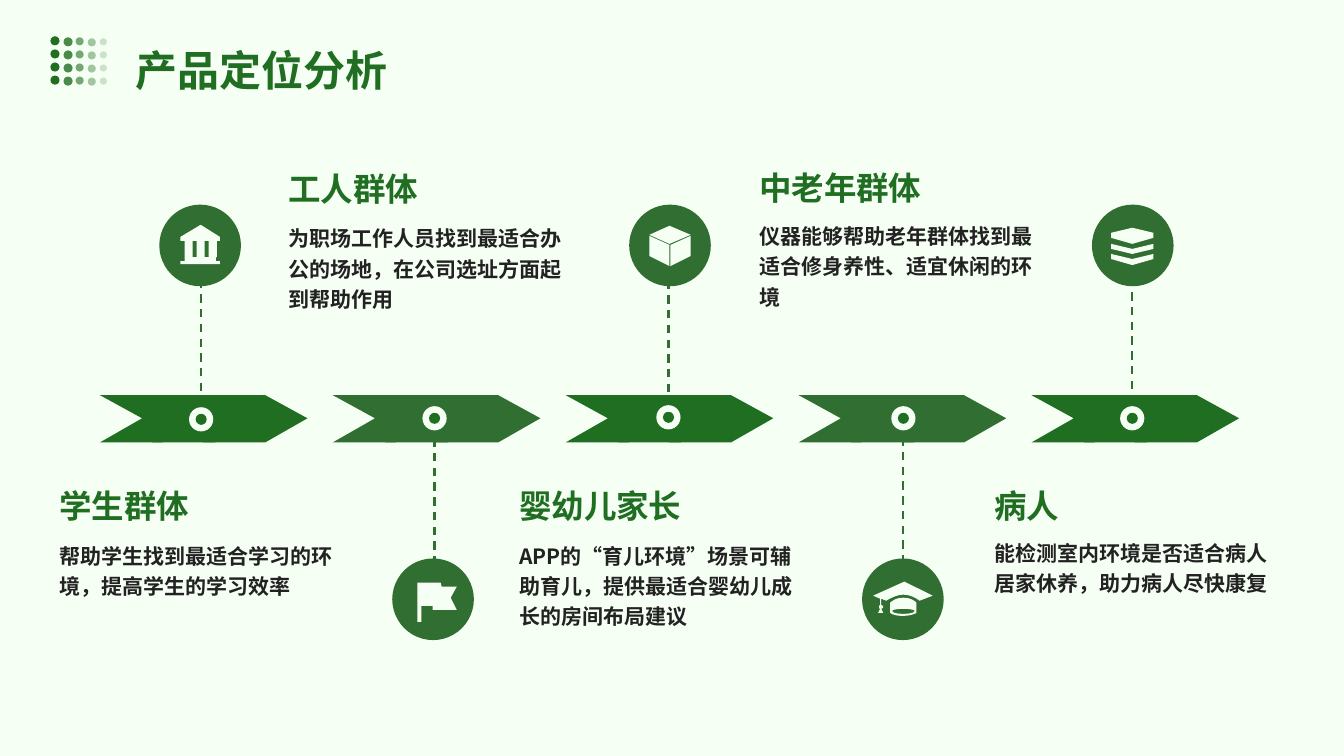
from lxml.etree import SubElement
from pptx import Presentation
from pptx.dml.color import RGBColor
from pptx.enum.dml import MSO_LINE
from pptx.enum.shapes import MSO_CONNECTOR as CONN, MSO_SHAPE as SHAPE
from pptx.enum.text import MSO_AUTO_SIZE as AUTO
from pptx.oxml.ns import qn
from pptx.util import Inches, Pt

PALE, DEEP, MID, INK = "F6FFF4", "1F6E21", "306F31", "222222"
HEAD_FONT, BODY_FONT = "Noto Sans CJK JP", "Noto Sans CJK SC"

TITLE = "产品定位分析"
GROUPS = [
    ("学生群体", "帮助学生找到最适合学习的环境，提高学生的学习效率", 0.45, 4.6, 5.2, 0.84),
    ("工人群体", "为职场工作人员找到最适合办公的场地，在公司选址方面起到帮助作用", 2.72, 1.46, 2.05, 1.14),
    ("婴幼儿家长", "APP的“育儿环境”场景可辅助育儿，提供最适合婴幼儿成长的房间布局建议", 5.01, 4.6, 5.2, 1.14),
    ("中老年群体", "仪器能够帮助老年群体找到最适合修身养性、适宜休闲的环境", 7.39, 1.45, 2.03, 1.14),
    ("病人", "能检测室内环境是否适合病人居家休养，助力病人尽快康复", 9.72, 4.6, 5.17, 0.85),
]


def box(left, top, right, bottom):
    return [(left, top), (right, top), (right, bottom), (left, bottom)]


BANK = [
    [(1.79, 2.35), (1.99, 2.23), (2.18, 2.35), (2.18, 2.39), (1.79, 2.39)],
    box(1.79, 2.59, 2.18, 2.62),
    box(1.83, 2.55, 2.14, 2.59),
    *[box(x, 2.39, x + 0.08, 2.55) for x in (1.83, 1.95, 2.07)],
]
FLAG = [[(4.29, 6.01), (4.18, 6.01), (4.18, 6.17), (4.14, 6.17), (4.14, 5.78), (4.37, 5.78),
         (4.38, 5.82), (4.53, 5.82), (4.47, 5.93), (4.53, 6.05), (4.29, 6.05)]]
CUBE = [
    [(6.64, 2.24), (6.44, 2.33), (6.64, 2.42), (6.85, 2.33)],
    [(6.65, 2.43), (6.65, 2.64), (6.85, 2.54), (6.85, 2.34)],
    [(6.44, 2.54), (6.64, 2.64), (6.64, 2.43), (6.44, 2.34)],
]
CAP = [
    [(9.12, 5.96), (9.12, 5.96, 9.05, 5.9, 8.96, 5.9), (8.88, 5.9, 8.79, 5.96, 8.79, 5.96),
     (8.74, 5.94), (8.74, 6), (8.75, 6.01, 8.76, 6.01, 8.76, 6.02),
     (8.76, 6.03, 8.75, 6.04, 8.74, 6.04), (8.76, 6.08), (8.71, 6.08), (8.73, 6.04),
     (8.72, 6.04, 8.72, 6.03, 8.72, 6.02), (8.72, 6.01, 8.72, 6.01, 8.73, 6),
     (8.73, 5.94), (8.66, 5.91), (8.97, 5.77), (9.25, 5.91)],
    [(8.96, 5.93), (9.05, 5.93, 9.09, 5.98, 9.09, 5.98), (9.09, 6.08),
     (9.09, 6.08, 9.05, 6.11, 8.95, 6.11), (8.86, 6.11, 8.83, 6.08, 8.83, 6.08),
     (8.83, 5.98), (8.83, 5.98, 8.87, 5.93, 8.96, 5.93)],
    [(8.96, 6.09), (9.02, 6.09, 9.07, 6.08, 9.07, 6.06), (9.07, 6.05, 9.02, 6.04, 8.96, 6.04),
     (8.9, 6.04, 8.85, 6.05, 8.85, 6.06), (8.85, 6.08, 8.9, 6.09, 8.96, 6.09)],
]
LAYERS = [
    [(11.02, 2.52), (11.23, 2.57), (11.44, 2.52), (11.44, 2.57), (11.23, 2.63), (11.02, 2.57)],
    [(11.02, 2.42), (11.23, 2.47), (11.44, 2.42), (11.44, 2.47), (11.23, 2.52), (11.02, 2.47)],
    [(11.02, 2.31), (11.23, 2.26), (11.44, 2.31), (11.44, 2.36), (11.23, 2.42), (11.02, 2.36)],
]
STATIONS = [
    (1.995, 4.16, 3.88, 2.82, 1.58, 2.03, BANK),
    (4.31, 4.15, 5.6, 4.19, 3.89, 5.54, FLAG),
    (6.63, 4.14, 3.89, 2.83, 6.24, 2.03, CUBE),
    (8.96, 4.15, 5.59, 4.18, 8.55, 5.54, CAP),
    (11.23, 4.15, 3.86, 2.81, 10.83, 2.03, LAYERS),
]
DOTS = [(0.5, 0.36, 0.09, 100), (0.63, 0.37, 0.09, 80), (0.75, 0.37, 0.08, 60),
        (0.87, 0.38, 0.08, 40), (0.99, 0.38, 0.07, 20)]

prs = Presentation()
prs.slide_width, prs.slide_height = Inches(13.33), Inches(7.5)
s = prs.slides.add_slide(prs.slide_layouts[6])


def rgb(value):
    return RGBColor.from_string(value)


def paint(sp, color):
    sp.shadow.inherit = False
    sp.fill.solid()
    sp.fill.fore_color.rgb = rgb(color)
    sp.line.fill.background()


def disc(left, top, size, color, parent=s):
    sp = parent.shapes.add_shape(SHAPE.OVAL, Inches(left), Inches(top), Inches(size), Inches(size))
    paint(sp, color)
    return sp


def flatten(contour):
    points = [contour[0]]
    for step in contour[1:]:
        if len(step) == 2:
            points.append(step)
            continue
        nodes = [points[-1], step[:2], step[2:4], step[4:]]
        for i in range(1, 9):
            t = i / 8
            weights = ((1 - t) ** 3, 3 * t * (1 - t) ** 2, 3 * t * t * (1 - t), t ** 3)
            points.append(tuple(sum(w * n[axis] for w, n in zip(weights, nodes)) for axis in (0, 1)))
    return [(Inches(x), Inches(y)) for x, y in points]


def outline(contours, color):
    first, *rest = [flatten(c) for c in contours]
    builder = s.shapes.build_freeform(*first[0])
    builder.add_line_segments(first[1:])
    for points in rest:
        builder.move_to(*points[0])
        builder.add_line_segments(points[1:])
    paint(builder.convert_to_shape(), color)


def text(content, left, top, width, height, size, font, color, spacing=1.2):
    tf = s.shapes.add_textbox(Inches(left), Inches(top), Inches(width), Inches(height)).text_frame
    tf.word_wrap = True
    tf.auto_size = AUTO.SHAPE_TO_FIT_TEXT
    tf.margin_left = tf.margin_top = tf.margin_bottom = Inches(0.14)
    tf.margin_right = Inches(0.06)
    p = tf.paragraphs[0]
    p.text = content
    p.line_spacing = spacing
    p.font.size, p.font.bold, p.font.name = Pt(size), True, font
    p.font.color.rgb = rgb(color)
    SubElement(p._p.pPr.find(qn("a:defRPr")), qn("a:ea"), typeface=font)


def dashed(x, start, end):
    line = s.shapes.add_connector(CONN.STRAIGHT, Inches(x), Inches(start), Inches(x), Inches(end))
    line.line.color.rgb = rgb(MID)
    line.line.width = Pt(1.5)
    line.line.dash_style = MSO_LINE.DASH
    SubElement(line._element.spPr, qn("a:effectLst"))


s.background.fill.solid()
s.background.fill.fore_color.rgb = rgb(PALE)

for i in range(len(STATIONS)):
    for offset in (0, 0.52, 1.02):
        x = 0.99 + 2.31 * i + offset
        outline([[(x, 3.92), (x + 0.62, 3.92), (x + 1.04, 4.15), (x + 0.62, 4.39),
                  (x, 4.39), (x + 0.42, 4.15)]], MID if i % 2 else DEEP)

for heading, body, left, head_top, body_top, body_height in GROUPS:
    text(heading, left, head_top, 3.17, 0.72, 23.2, HEAD_FONT, DEEP)
    text(body, left, body_top, 2.99, body_height, 15, BODY_FONT, INK)

for x, y, start, end, left, top, icon in STATIONS:
    dashed(x, start, end)
    for size, color in ((0.24, PALE), (0.11, DEEP)):
        disc(x - size / 2, y - size / 2, size, color)
    disc(left, top, 0.81, MID)
    outline(icon, PALE)

dot_grid = s.shapes.add_group_shape()
for row in range(4):
    for left, top, size, alpha in DOTS:
        sp = disc(left, top + 0.13 * row, size, DEEP, dot_grid)
        if alpha < 100:
            SubElement(sp._element.spPr.find(qn("a:solidFill"))[0], qn("a:alpha"), val=str(alpha * 1000))

text(TITLE, 1.2, 0.1, 10.94, 0.92, 30, HEAD_FONT, DEEP, 1.4)

prs.save("out.pptx")
